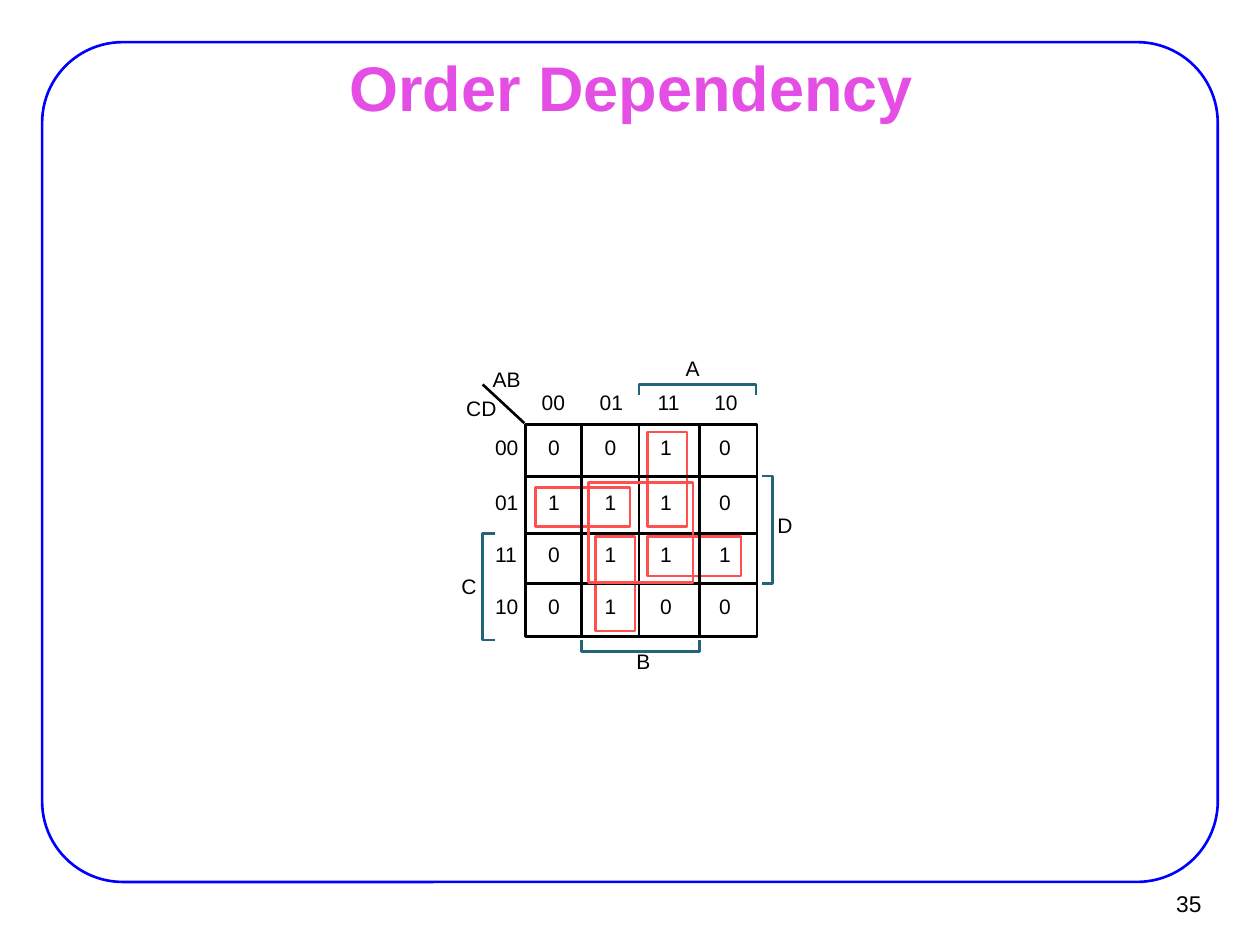
import pptx
import pptx.dml.color
import pptx.enum.shapes
import pptx.enum.text
import pptx.oxml.ns
import pptx.util
from lxml import etree

Cm = pptx.util.Cm
RGBColor = pptx.dml.color.RGBColor
MSO_SHAPE = pptx.enum.shapes.MSO_SHAPE
PP_ALIGN = pptx.enum.text.PP_ALIGN
MSO_ANCHOR = pptx.enum.text.MSO_ANCHOR
MSO_AUTO_SIZE = pptx.enum.text.MSO_AUTO_SIZE

BLACK = RGBColor(0x00, 0x00, 0x00)
BLUE = RGBColor(0x00, 0x00, 0xFF)
PINK = RGBColor(0xE4, 0x4E, 0xE4)
RED = RGBColor(0xFF, 0x50, 0x50)
TEAL = RGBColor(0x22, 0x65, 0x77)

GRAY_CODE = ["00", "01", "11", "10"]
MAP_VALUES = ["0010", "1110", "0111", "0100"]
COLUMN_LINES = [11.72, 12.88, 14.1]
ROW_LINES = [9.6, 10.75, 11.76]
CODE_LEFTS = [10.92, 12.09, 13.26, 14.4]
VALUE_LEFTS = [11.05, 12.19, 13.31, 14.5]
ROW_TOPS = [8.76, 9.86, 10.92, 11.96]
MAP_LEFT, MAP_TOP, MAP_RIGHT, MAP_BOTTOM = 10.57, 8.53, 15.24, 12.8


class SlideBuilder:
    """Draws styled elements on one slide; every length is in centimetres."""

    font_name = "Arial"
    line_width = pptx.util.Pt(1.5)

    def __init__(self, slide):
        self.slide = slide

    def add_run(self, paragraph, text, size, color, bold=False):
        run = paragraph.add_run()
        run.text = text
        run.font.name = self.font_name
        run.font.size = pptx.util.Pt(size)
        run.font.bold = bold
        run.font.color.rgb = color

    def title(self, text, left, top, width, height):
        title = self.slide.shapes.title
        title.left, title.top = Cm(left), Cm(top)
        title.width, title.height = Cm(width), Cm(height)
        frame = title.text_frame
        frame.auto_size = MSO_AUTO_SIZE.NONE
        frame.vertical_anchor = MSO_ANCHOR.MIDDLE
        paragraph = frame.paragraphs[0]
        paragraph.alignment = PP_ALIGN.CENTER
        self.add_run(paragraph, text, 36, PINK, bold=True)

    def label(self, text, left, top, width, height=0.51, size=12, align=PP_ALIGN.LEFT):
        box = self.slide.shapes.add_textbox(Cm(left), Cm(top), Cm(width), Cm(height))
        frame = box.text_frame
        frame.word_wrap = False
        frame.margin_left = frame.margin_right = 0
        frame.margin_top = frame.margin_bottom = 0
        paragraph = frame.paragraphs[0]
        paragraph.alignment = align
        self.add_run(paragraph, text, size, BLACK)
        return box

    def style_outline(self, shape, color):
        shape.shadow.inherit = False
        shape.fill.background()
        shape.line.color.rgb = color
        shape.line.width = self.line_width

    def outline(self, kind, left, top, width, height, color):
        shape = self.slide.shapes.add_shape(
            kind, Cm(left), Cm(top), Cm(width), Cm(height))
        self.style_outline(shape, color)
        return shape

    def line(self, x1, y1, x2, y2):
        connector = self.slide.shapes.add_connector(
            pptx.enum.shapes.MSO_CONNECTOR.STRAIGHT, Cm(x1), Cm(y1), Cm(x2), Cm(y2))
        connector.line.color.rgb = BLACK
        connector.line.width = self.line_width
        etree.SubElement(connector._element.spPr, pptx.oxml.ns.qn("a:effectLst"))

    def bracket(self, *points):
        corners = [(Cm(x), Cm(y)) for x, y in points]
        builder = self.slide.shapes.build_freeform(*corners[0])
        builder.add_line_segments(corners[1:], close=False)
        self.style_outline(builder.convert_to_shape(), TEAL)


def draw_page(builder):
    border = builder.outline(MSO_SHAPE.ROUNDED_RECTANGLE, 0.85, 0.85, 23.7, 16.93, BLUE)
    border.adjustments[0] = 0.096
    builder.title("Order Dependency", 1.93, 1.12, 21.59, 1.24)
    number = builder.label("35", 23.0, 17.75, 1.22, 0.94, 13, PP_ALIGN.RIGHT)
    number.text_frame.vertical_anchor = MSO_ANCHOR.MIDDLE


def draw_map(builder):
    """Draw the Karnaugh map grid with its codes and values."""
    builder.outline(MSO_SHAPE.RECTANGLE, 10.59, 8.56, 4.67, 4.27, BLACK)
    for y in ROW_LINES:
        builder.line(MAP_LEFT, y, MAP_RIGHT, y)
    for x in COLUMN_LINES:
        builder.line(x, MAP_TOP, x, MAP_BOTTOM)
    builder.line(MAP_LEFT, MAP_TOP, 9.73, 7.75)

    for code, left in zip(GRAY_CODE, CODE_LEFTS):
        builder.label(code, left, 7.85, 0.58)
    for code, values, top in zip(GRAY_CODE, MAP_VALUES, ROW_TOPS):
        builder.label(code, 9.98, top, 0.58)
        for value, left in zip(values, VALUE_LEFTS):
            builder.label(value, left, top, 0.36)


def draw_variables(builder):
    """Mark the rows and columns where each variable is 1."""
    first_column, middle_column, last_column = COLUMN_LINES
    first_row, middle_row, last_row = ROW_LINES
    builder.bracket((middle_column, 7.97), (middle_column, 7.75),
                    (MAP_RIGHT, 7.75), (MAP_RIGHT, 7.97))
    builder.bracket((9.98, 12.9), (9.73, 12.9), (9.73, middle_row), (9.98, middle_row))
    builder.bracket((last_column, 12.9), (last_column, 13.13),
                    (first_column, 13.13), (first_column, 12.9))
    builder.bracket((15.37, first_row), (15.57, first_row),
                    (15.57, last_row), (15.37, last_row))
    for name, left, top, width in [
        ("AB", 9.93, 7.39, 0.69), ("CD", 9.4, 7.98, 0.74),
        ("A", 13.82, 7.16, 0.41), ("B", 12.83, 13.08, 0.41),
        ("C", 9.3, 11.56, 0.43), ("D", 15.67, 10.34, 0.43),
    ]:
        builder.label(name, left, top, width)


def draw_implicants(builder, loops):
    for left, top, width, height in loops:
        builder.outline(MSO_SHAPE.RECTANGLE, left, top, width, height, RED)


def main():
    presentation = pptx.Presentation()
    presentation.slide_width, presentation.slide_height = Cm(25.4), Cm(19.05)
    title_only = presentation.slide_layouts[5]
    builder = SlideBuilder(presentation.slides.add_slide(title_only))

    draw_page(builder)
    draw_implicants(builder, [
        (10.8, 9.83, 1.9, 0.79), (13.06, 10.82, 1.88, 0.79),
        (12.01, 10.82, 0.79, 1.9), (13.06, 8.71, 0.79, 1.9),
    ])
    draw_map(builder)
    draw_variables(builder)
    draw_implicants(builder, [(11.86, 9.73, 2.11, 2.01)])
    presentation.save("out.pptx")


if __name__ == "__main__":
    main()
